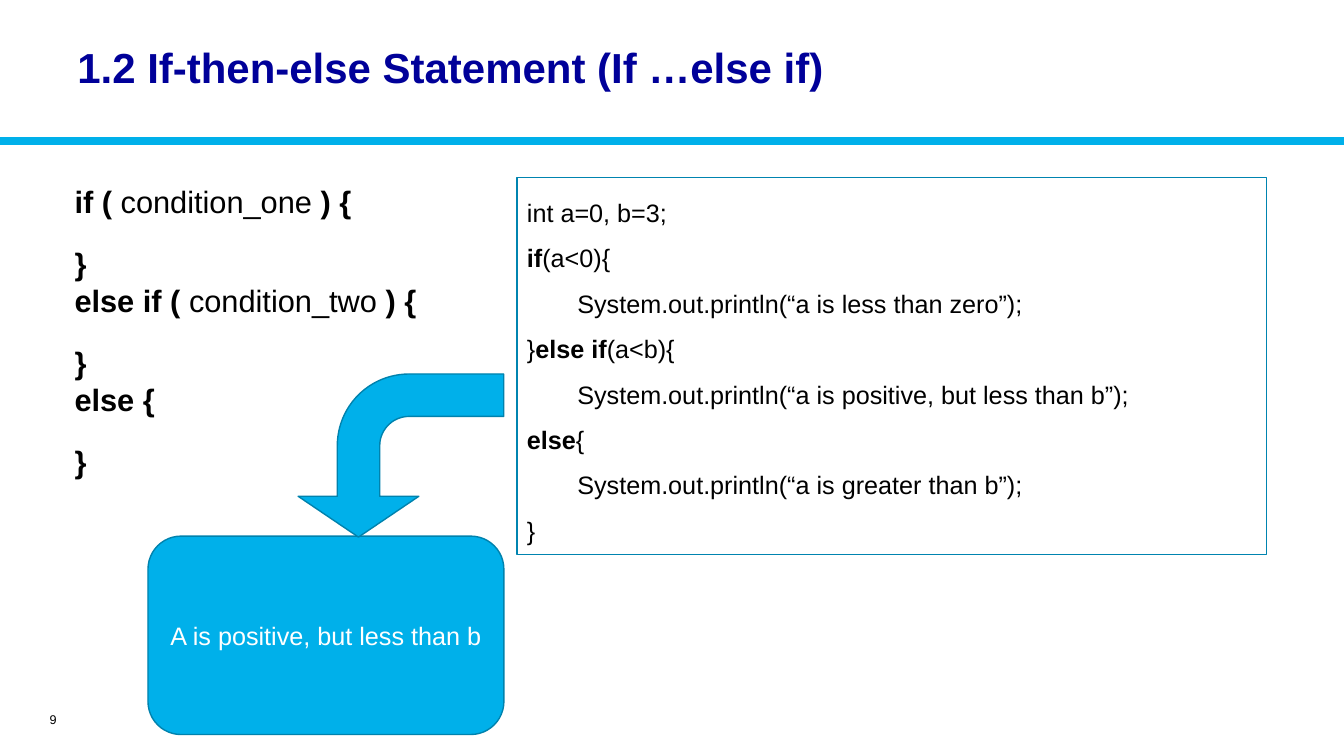
"""Build a slide on the if-then-else statement."""
from pptx import Presentation
from pptx.dml.color import RGBColor
from pptx.enum.shapes import MSO_CONNECTOR, MSO_SHAPE
from pptx.enum.text import MSO_ANCHOR, PP_ALIGN
from pptx.util import Cm, Pt
from lxml.etree import SubElement
from pptx.oxml.ns import qn

CYAN, NAVY, BLACK, WHITE = "00B0EA", "000099", "000000", "FFFFFF"
EDGE, FRAME_EDGE = "0082AD", "0084B0"

SYNTAX = [
    "**if ( **condition_one** ) {**",
    "**}\nelse if ( **condition_two** ) {**",
    "**}\nelse {**",
    "**}**",
]
EXAMPLE = [
    "int a=0, b=3;",
    "**if**(a<0){",
    "\tSystem.out.println(“a is less than zero”);",
    "}**else if**(a<b){",
    "\tSystem.out.println(“a is positive, but less than b”);",
    "**else**{",
    "\tSystem.out.println(“a is greater than b”);",
    "}",
]


def colour(value):
    """Turn a hex string into a colour."""
    return RGBColor.from_string(value)


def add_runs(paragraph, marked_text):
    """Add runs to a paragraph, bold between double asterisks."""
    for part_index, part in enumerate(marked_text.split("**")):
        for line_index, line in enumerate(part.split("\n")):
            if line_index:
                paragraph.add_line_break()
            if line:
                run = paragraph.add_run()
                run.text = line
                run.font.bold = part_index % 2 == 1


def write(shape, lines, size, text_colour=BLACK, align=PP_ALIGN.LEFT,
          anchor=MSO_ANCHOR.TOP, line_spacing=1.0, before=0, after=0):
    """Fill a shape with one paragraph for each line."""
    frame = shape.text_frame
    frame.word_wrap = True
    frame.vertical_anchor = anchor
    for index, line in enumerate(lines):
        paragraph = frame.add_paragraph() if index else frame.paragraphs[0]
        paragraph.alignment = align
        paragraph.line_spacing = line_spacing
        paragraph.space_before = Pt(before if index else 0)
        paragraph.space_after = Pt(after)
        paragraph.font.name = "Arial"
        paragraph.font.size = Pt(size)
        paragraph.font.color.rgb = colour(text_colour)
        add_runs(paragraph, line)


def add_text(slide, left, top, width, height, lines, size, **style):
    """Add a text box."""
    box = slide.shapes.add_textbox(Cm(left), Cm(top), Cm(width), Cm(height))
    write(box, lines, size, **style)


def add_block(slide, kind, left, top, width, height, fill=CYAN, edge=EDGE, weight=1):
    """Add an outlined preset shape and return it."""
    shape = slide.shapes.add_shape(kind, Cm(left), Cm(top), Cm(width), Cm(height))
    shape.shadow.inherit = False
    if fill:
        shape.fill.solid()
        shape.fill.fore_color.rgb = colour(fill)
    else:
        shape.fill.background()
    shape.line.color.rgb = colour(edge)
    shape.line.width = Pt(weight)
    return shape


def add_rule(slide, top, width, weight):
    """Add a horizontal rule from the left edge."""
    rule = slide.shapes.add_connector(
        MSO_CONNECTOR.STRAIGHT, Cm(0), Cm(top), width, Cm(top))
    rule.line.color.rgb = colour(CYAN)
    rule.line.width = Pt(weight)
    SubElement(rule._element.spPr, qn("a:effectLst"))


def add_result_arrow(slide):
    """Add the bent arrow that turns down to the result."""
    arrow = add_block(slide, MSO_SHAPE.BENT_ARROW, 8.05, 8.89, 4.11, 5.18)
    for index, value in enumerate((0.26, 0.37, 0.25, 0.44)):
        arrow.adjustments[index] = value
    arrow.rotation = 90
    arrow._element.spPr.find(qn("a:xfrm")).set("flipV", "1")


def main():
    """Build and save the slide."""
    presentation = Presentation()
    presentation.slide_width = Cm(33.87)
    presentation.slide_height = Cm(19.05)
    slide = presentation.slides.add_slide(presentation.slide_layouts[6])

    add_rule(slide, 3.56, presentation.slide_width, 6)
    add_text(slide, 1.7, 0.36, 30.53, 2.82,
             ["**1.2 If-then-else Statement (If …else if)**"], 30,
             text_colour=NAVY, anchor=MSO_ANCHOR.MIDDLE, line_spacing=0.9)
    add_text(slide, 0.23, 17.75, 1.45, 0.76, ["9"], 9,
             align=PP_ALIGN.RIGHT, anchor=MSO_ANCHOR.MIDDLE)
    add_text(slide, 1.63, 4.47, 30.61, 11.99, SYNTAX, 22, before=16.5, after=1.5)

    example = add_block(slide, MSO_SHAPE.RECTANGLE, 13.03, 4.47, 18.9, 9.5,
                        fill=None, edge=FRAME_EDGE, weight=0.75)
    write(example, EXAMPLE, 18, line_spacing=1.5)
    result = add_block(slide, MSO_SHAPE.ROUNDED_RECTANGLE, 3.73, 13.51, 8.97, 5)
    write(result, ["A is positive, but less than b"], 18, text_colour=WHITE,
          align=PP_ALIGN.CENTER, anchor=MSO_ANCHOR.MIDDLE)
    add_result_arrow(slide)

    presentation.save("out.pptx")


if __name__ == "__main__":
    main()
